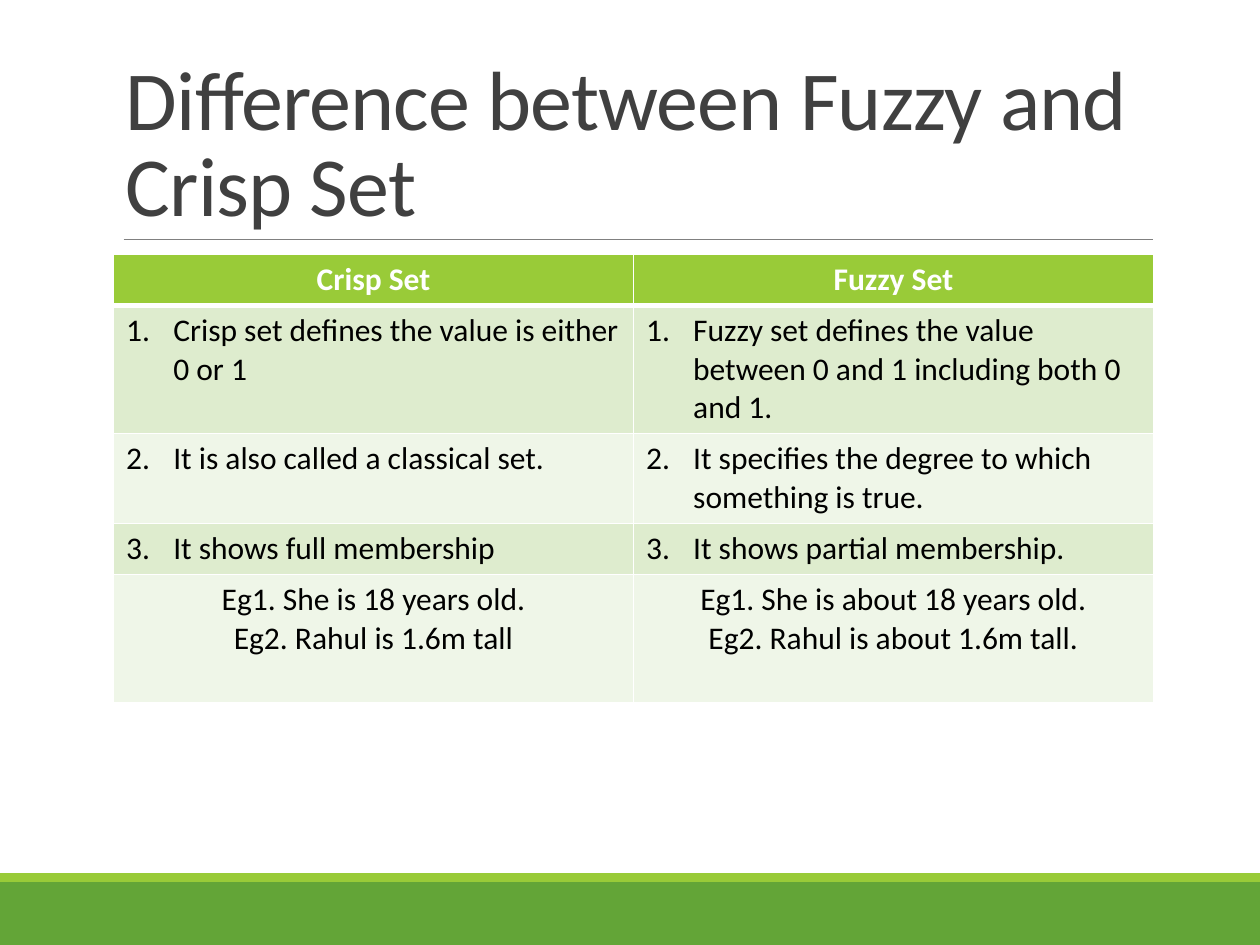
from lxml.etree import SubElement
from pptx import Presentation
from pptx.dml.color import RGBColor
from pptx.enum.shapes import MSO_CONNECTOR, MSO_SHAPE
from pptx.enum.text import MSO_ANCHOR, PP_ALIGN
from pptx.oxml.ns import qn
from pptx.util import Cm, Pt

GREEN = RGBColor(0x63, 0xA5, 0x37)
LIME = RGBColor(0x99, 0xCB, 0x38)
PALE = RGBColor(0xDE, 0xEC, 0xCE)
MIST = RGBColor(0xEF, 0xF6, 0xE8)
GREY = RGBColor(0x80, 0x80, 0x80)
DARK = RGBColor(0x40, 0x40, 0x40)
BLACK = RGBColor(0, 0, 0)
WHITE = RGBColor(0xFF, 0xFF, 0xFF)

HEADS = ("Crisp Set", "Fuzzy Set")
POINTS = (
    ("Crisp set defines the value is either 0 or 1",
     "Fuzzy set defines the value between 0 and 1 including both 0 and 1."),
    ("It is also called a classical set.",
     "It specifies the degree to which something is true."),
    ("It shows full membership", "It shows partial membership."),
)
CASES = (
    "Eg1. She is 18 years old.\nEg2. Rahul is 1.6m tall",
    "Eg1. She is about 18 years old.\nEg2. Rahul is about 1.6m tall.",
)
HEIGHTS = (1.03, 2.58, 1.81, 1.03, 2.58)


def write(frame, text, size=18, color=BLACK, bold=False, align=PP_ALIGN.LEFT,
          lead=None, track=None, number=None):
    frame.word_wrap = True
    frame.text = text
    for para in frame.paragraphs:
        para.alignment = align
        if lead:
            para.line_spacing = lead
        if number:
            props = para._p.get_or_add_pPr()
            props.set("marL", str(Cm(0.95)))
            props.set("indent", str(Cm(-0.95)))
            SubElement(props, qn("a:buFont"), typeface="+mj-lt")
            SubElement(props, qn("a:buAutoNum"), type="arabicPeriod",
                       startAt=str(number))
        for run in para.runs:
            font = run.font
            font.name, font.size, font.bold = "Calibri", Pt(size), bold
            font.color.rgb = color
            if track:
                run._r.get_or_add_rPr().set("spc", str(track))


def add_band(slide, top, height, color):
    band = slide.shapes.add_shape(MSO_SHAPE.RECTANGLE, 0, Cm(top),
                                  Cm(25.4), Cm(height))
    band.shadow.inherit = False
    band.fill.solid()
    band.fill.fore_color.rgb = color
    band.line.fill.background()


def add_rule(slide, left, right, top):
    rule = slide.shapes.add_connector(MSO_CONNECTOR.STRAIGHT, Cm(left),
                                      Cm(top), Cm(right), Cm(top))
    rule.line.color.rgb = GREY
    rule.line.width = Pt(0.5)
    SubElement(rule._element.spPr, qn("a:effectLst"))


def add_title(slide, text):
    box = slide.shapes.add_textbox(Cm(2.29), Cm(0.79), Cm(20.96), Cm(4.04))
    box.text_frame.vertical_anchor = MSO_ANCHOR.BOTTOM
    write(box.text_frame, text, size=48, color=DARK, lead=0.85, track=-50)


def edge(cell, **widths):
    props = cell._tc.get_or_add_tcPr()
    for side in "LRTB":
        line = SubElement(props, qn("a:ln" + side),
                          w=str(Pt(widths.get(side, 1))))
        fill = SubElement(line, qn("a:solidFill"))
        SubElement(fill, qn("a:srgbClr"), val=str(WHITE))


def add_grid(slide):
    table = slide.shapes.add_table(len(HEIGHTS), 2, Cm(2.29), Cm(5.13),
                                   Cm(20.96), Cm(sum(HEIGHTS))).table
    rows = (HEADS, *POINTS, CASES)
    for i, texts in enumerate(rows):
        table.rows[i].height = Cm(HEIGHTS[i])
        head, last = i == 0, i == len(rows) - 1
        for j, text in enumerate(texts):
            cell = table.cell(i, j)
            edge(cell, B=3 if head else 1, T=3 if i == 1 else 1)
            cell.fill.solid()
            cell.fill.fore_color.rgb = LIME if head else PALE if i % 2 else MIST
            write(cell.text_frame, text, bold=head,
                  color=WHITE if head else BLACK,
                  align=PP_ALIGN.CENTER if head or last else PP_ALIGN.LEFT,
                  number=None if head or last else i)


def main():
    deck = Presentation()
    deck.slide_width, deck.slide_height = Cm(25.4), Cm(19.05)
    slide = deck.slides.add_slide(deck.slide_layouts[6])
    add_band(slide, 17.78, 1.27, GREEN)
    add_band(slide, 17.6, 0.18, LIME)
    add_rule(slide, 2.49, 23.24, 4.83)
    add_title(slide, "Difference between Fuzzy and Crisp Set")
    add_grid(slide)
    deck.save("out.pptx")


if __name__ == "__main__":
    main()
